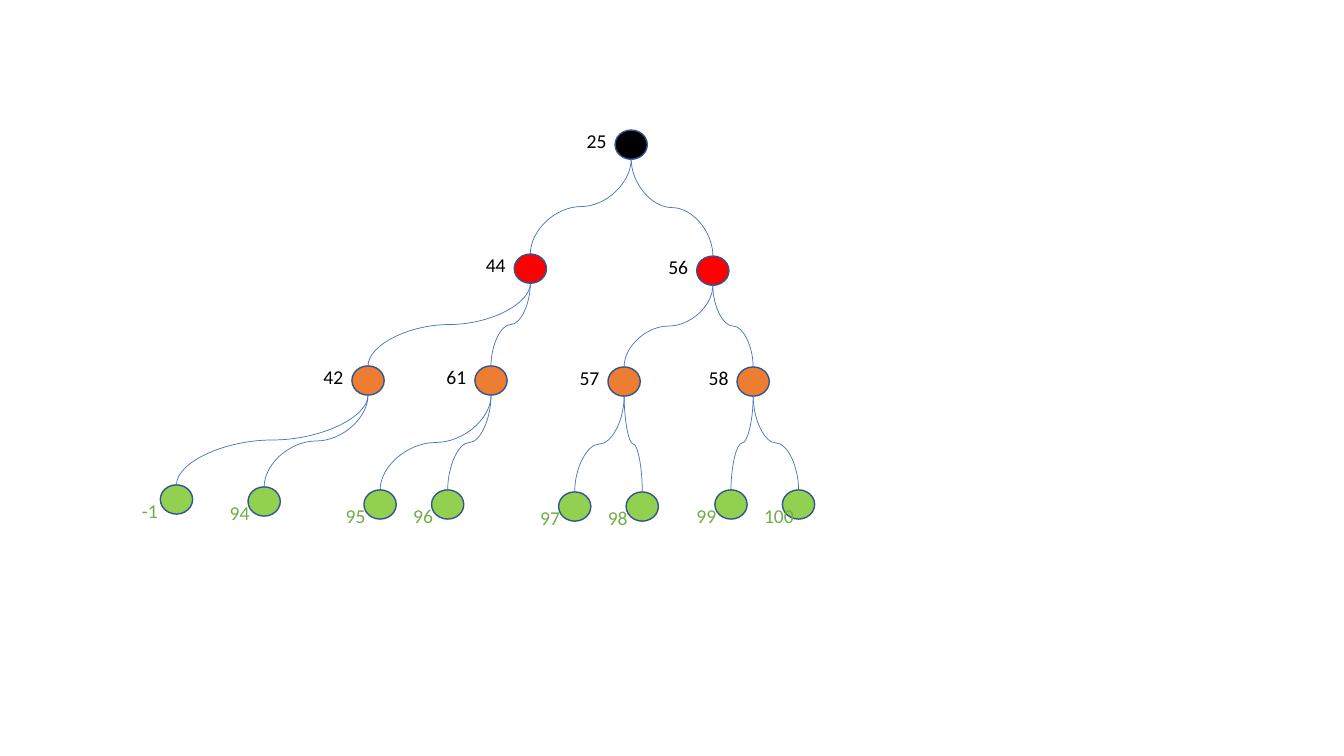
from dataclasses import dataclass

from lxml.etree import SubElement
from pptx import Presentation
from pptx.dml.color import RGBColor
from pptx.enum.shapes import MSO_CONNECTOR, MSO_SHAPE
from pptx.enum.text import MSO_AUTO_SIZE, PP_ALIGN
from pptx.oxml.ns import qn
from pptx.util import Inches, Pt


@dataclass(frozen=True)
class Theme:
    """Colours, font and sizes of the slide."""

    levels: tuple = ("000000", "FF0000", "ED7D31", "92D050")
    inner_label: str = "000000"
    leaf_label: str = "70AD47"
    outline: str = "325491"
    branch: str = "4472C4"
    font: str = "Calibri"
    label_size: float = 14
    outline_width: float = 1
    branch_width: float = 0.5


THEME = Theme()
NODE_WIDTH, NODE_HEIGHT = 0.32, 0.29
LABEL_HEIGHT = 0.34
LABEL_WIDTHS = {"-1": 0.36, "100": 0.5}
INNER_OFFSET = (-0.38, -0.06)
LEAF_OFFSET = (-0.28, 0.09)
TREE_BOX = (1.31, 1.23)

TREE_LEVELS = [
    [("25", 4.79, 0.06)],
    [("44", 3.79, 1.29), ("56", 5.6, 1.31)],
    [("42", 2.18, 2.4), ("61", 3.4, 2.4), ("57", 4.72, 2.41), ("58", 6, 2.41)],
    [("-1", 0.28, 3.58), ("94", 1.15, 3.6), ("95", 2.3, 3.63), ("96", 2.97, 3.63),
     ("97", 4.23, 3.65), ("98", 4.9, 3.65), ("99", 5.78, 3.63), ("100", 6.45, 3.63)],
]


def apply_format(target, values):
    """Set each attribute named in values on the target."""
    for attribute, value in values.items():
        setattr(target, attribute, value)


def style_line(line, color, width):
    """Give a line its colour and its width in points."""
    line.color.rgb = RGBColor.from_string(color)
    line.width = Pt(width)


def add_node(slide, left, top, color):
    """Draw one tree node."""
    node = slide.shapes.add_shape(
        MSO_SHAPE.OVAL, Inches(left), Inches(top), Inches(NODE_WIDTH), Inches(NODE_HEIGHT))
    node.shadow.inherit = False
    node.fill.solid()
    node.fill.fore_color.rgb = RGBColor.from_string(color)
    style_line(node.line, THEME.outline, THEME.outline_width)


def add_label(slide, value, left, top, color):
    """Write the value of a node."""
    label = slide.shapes.add_textbox(
        Inches(left), Inches(top), Inches(LABEL_WIDTHS.get(value, 0.4)), Inches(LABEL_HEIGHT))
    apply_format(label.text_frame, {
        "text": value, "word_wrap": False, "auto_size": MSO_AUTO_SIZE.SHAPE_TO_FIT_TEXT})
    paragraph = label.text_frame.paragraphs[0]
    paragraph.alignment = PP_ALIGN.LEFT
    font = paragraph.runs[0].font
    apply_format(font, {"name": THEME.font, "size": Pt(THEME.label_size)})
    font.color.rgb = RGBColor.from_string(color)


def add_branch(slide, parent, child):
    """Curve from the bottom of the parent down to the top of the child."""
    start_x, start_y = parent[0] + NODE_WIDTH / 2, parent[1] + NODE_HEIGHT
    end_x, end_y = child[0] + NODE_WIDTH / 2, child[1]
    center_x, center_y = (start_x + end_x) / 2, (start_y + end_y) / 2
    half_drop, half_spread = (end_y - start_y) / 2, abs(end_x - start_x) / 2
    goes_right = end_x > start_x
    reach = half_drop if goes_right else -half_drop
    branch = slide.shapes.add_connector(
        MSO_CONNECTOR.CURVE,
        Inches(center_x + reach), Inches(center_y - half_spread),
        Inches(center_x - reach), Inches(center_y + half_spread))
    style_line(branch.line, THEME.branch, THEME.branch_width)
    properties = branch._element.spPr
    properties.find(qn("a:xfrm")).set("rot", "16200000" if goes_right else "5400000")
    SubElement(properties, qn("a:effectLst"))


def add_tree(slide, box):
    """Draw the binary tree from the top left corner of the box."""
    parents = []
    for depth, level in enumerate(TREE_LEVELS):
        is_leaf = depth == len(TREE_LEVELS) - 1
        offset_x, offset_y = LEAF_OFFSET if is_leaf else INNER_OFFSET
        label_color = THEME.leaf_label if is_leaf else THEME.inner_label
        nodes = [(box[0] + x, box[1] + y) for _, x, y in level]
        for index, ((value, _, _), (left, top)) in enumerate(zip(level, nodes)):
            add_node(slide, left, top, THEME.levels[depth])
            add_label(slide, value, left + offset_x, top + offset_y, label_color)
            if parents:
                add_branch(slide, parents[index // 2], (left, top))
        parents = nodes


def main():
    """Build and save the slide."""
    presentation = Presentation()
    apply_format(presentation, {"slide_width": Inches(13.33), "slide_height": Inches(7.5)})
    slide = presentation.slides.add_slide(presentation.slide_layouts[6])
    add_tree(slide, TREE_BOX)
    presentation.save("out.pptx")


if __name__ == "__main__":
    main()
